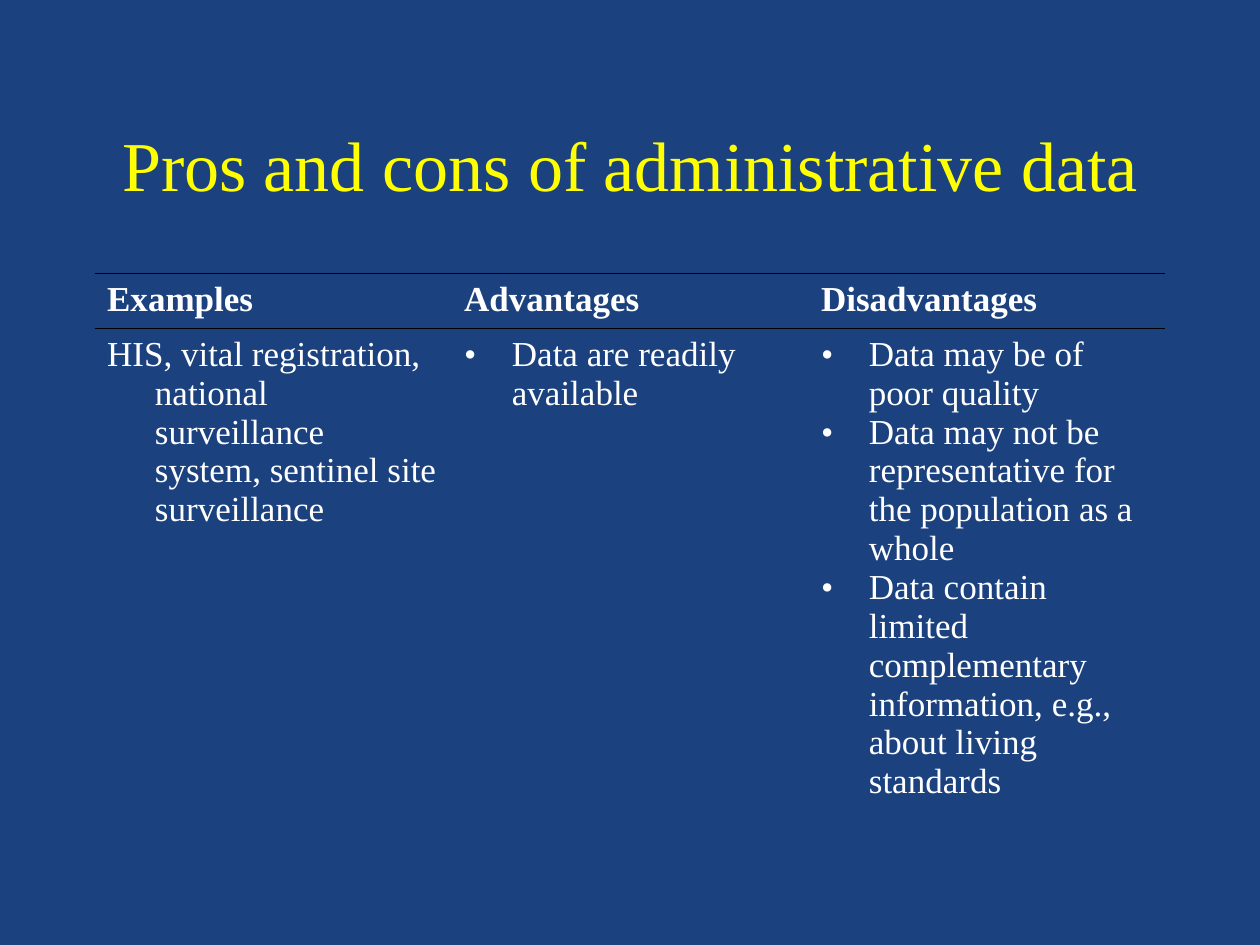
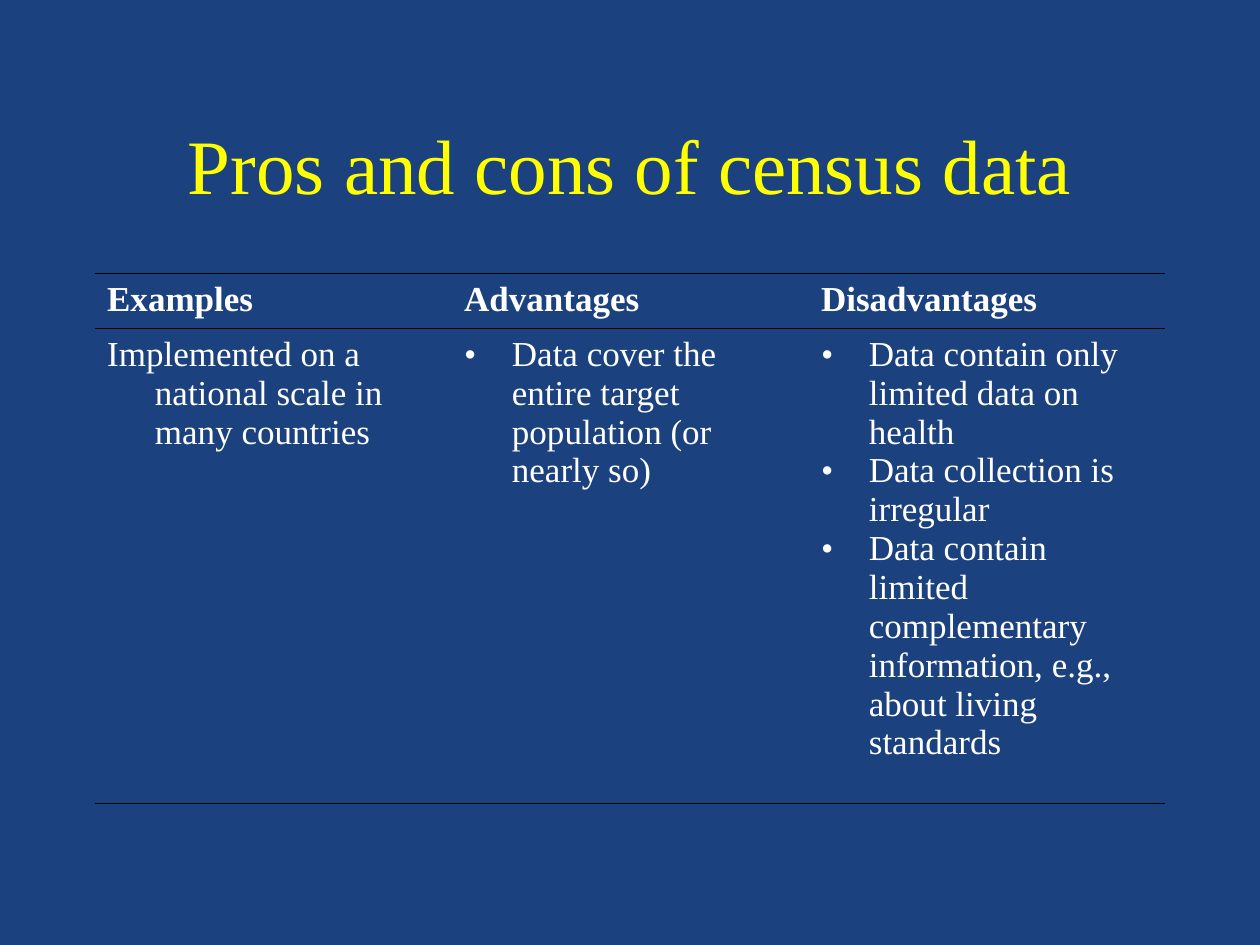
from dataclasses import dataclass

from lxml import etree
from pptx import Presentation
from pptx import util as u
from pptx.dml.color import RGBColor
from pptx.enum import text
from pptx.oxml import ns


@dataclass(frozen=True)
class Theme:
    background: str = "1B417F"
    title: str = "FFFF00"
    body: str = "FFFFFF"
    rule: str = "000000"
    font: str = "Times New Roman"
    body_size: int = 20
    rule_width: float = 0.45


THEME = Theme()
LEFT, WIDTH = 0.75, 8.5
HEADINGS = ("Examples", "Advantages", "Disadvantages")
HEADER_HEIGHT = 0.44
HANGING_INDENT = 0.38


def set_font(paragraph, size, color, bold=False):
    font = paragraph.font
    font.name = THEME.font
    font.size = u.Pt(size)
    font.bold = bold
    font.color.rgb = RGBColor.from_string(color)


def add_solid(parent, color):
    fill = etree.SubElement(parent, ns.qn("a:solidFill"))
    etree.SubElement(fill, ns.qn("a:srgbClr"), val=color)


def add_bullet(properties):
    color = etree.Element(ns.qn("a:buClr"))
    etree.SubElement(color, ns.qn("a:srgbClr"), val=THEME.body)
    font = etree.Element(ns.qn("a:buFont"), typeface=THEME.font)
    mark = etree.Element(ns.qn("a:buChar"), char="•")
    for position, element in enumerate((color, font, mark)):
        properties.insert(position, element)


def set_borders(cell, ruled_sides):
    properties = cell._tc.get_or_add_tcPr()
    for position, side in enumerate("LRTB"):
        line = etree.Element(ns.qn(f"a:ln{side}"), w=str(u.Pt(THEME.rule_width)))
        if side in ruled_sides:
            add_solid(line, THEME.rule)
        else:
            etree.SubElement(line, ns.qn("a:noFill"))
        properties.insert(position, line)


def fill_cell(cell, lines, ruled_sides, bold=False, bulleted=False):
    cell.fill.background()
    set_borders(cell, ruled_sides)
    frame = cell.text_frame
    frame.text = "\n".join(lines)
    for paragraph in frame.paragraphs:
        set_font(paragraph, THEME.body_size, THEME.body, bold)
        properties = paragraph._p.get_or_add_pPr()
        properties.set("marL", str(u.Inches(HANGING_INDENT)))
        properties.set("indent", str(u.Inches(-HANGING_INDENT)))
        if bulleted:
            add_bullet(properties)


def add_title(page, wording, size):
    box = page.shapes.add_textbox(
        u.Inches(LEFT), u.Inches(0.67), u.Inches(WIDTH), u.Inches(1.25))
    frame = box.text_frame
    frame.word_wrap = True
    frame.vertical_anchor = text.MSO_ANCHOR.MIDDLE
    para = frame.paragraphs[0]
    para.text = wording
    para.alignment = text.PP_ALIGN.CENTER
    set_font(para, size, THEME.title)


def add_comparison(page, columns, body_height, body_rules):
    table = page.shapes.add_table(
        2, len(HEADINGS), u.Inches(LEFT), u.Inches(2.17),
        u.Inches(WIDTH), u.Inches(HEADER_HEIGHT + body_height)).table
    table.first_row = table.horz_banding = False
    table.rows[0].height = u.Inches(HEADER_HEIGHT)
    table.rows[1].height = u.Inches(body_height)
    for index, (heading, lines) in enumerate(zip(HEADINGS, columns)):
        table.columns[index].width = u.Inches(WIDTH / len(HEADINGS))
        fill_cell(table.cell(0, index), [heading], "TB", bold=True)
        fill_cell(table.cell(1, index), lines, body_rules, bulleted=index > 0)


def add_page(deck, title, title_size, columns, body_height, body_rules):
    page = deck.slides.add_slide(deck.slide_layouts[6])
    fill = page.background.fill
    fill.solid()
    fill.fore_color.rgb = RGBColor.from_string(THEME.background)
    add_title(page, title, title_size)
    add_comparison(page, columns, body_height, body_rules)


def main():
    deck = Presentation()
    deck.slide_width, deck.slide_height = u.Inches(10), u.Inches(7.5)
    limited_information = (
        "Data contain limited complementary information, "
        "e.g., about living standards")
    add_page(deck, "Pros and cons of administrative data", 40, (
        ["HIS, vital registration, national surveillance system, "
         "sentinel site surveillance"],
        ["Data are readily available"],
        ["Data may be of poor quality",
         "Data may not be representative for the population as a whole",
         limited_information],
    ), body_height=4.1, body_rules="T")
    add_page(deck, "Pros and cons of census data", 44, (
        ["Implemented on a national scale in many countries"],
        ["Data cover the entire target population (or nearly so)"],
        ["Data contain only limited data on health",
         "Data collection is irregular",
         limited_information],
    ), body_height=3.77, body_rules="TB")
    deck.save("out.pptx")


if __name__ == "__main__":
    main()
